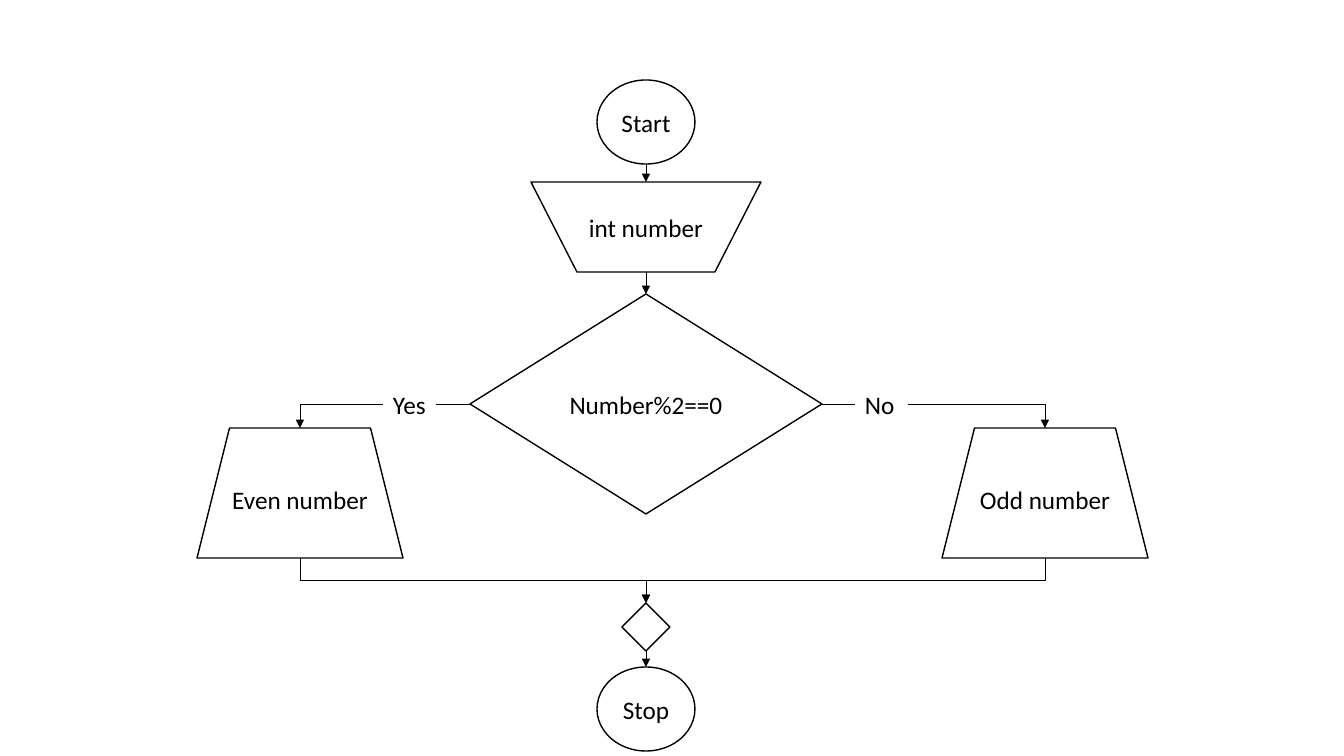
from dataclasses import dataclass

from lxml.etree import SubElement
from pptx import Presentation
from pptx.dml.color import RGBColor
from pptx.enum.shapes import MSO_CONNECTOR, MSO_SHAPE
from pptx.enum.text import MSO_ANCHOR, PP_ALIGN
from pptx.oxml.ns import qn
from pptx.util import Pt


@dataclass(frozen=True)
class Theme:
    ink: RGBColor = RGBColor(0, 0, 0)
    paper: RGBColor = RGBColor(255, 255, 255)
    font: str = "Calibri"
    size: Pt = Pt(18)
    edge: Pt = Pt(1)
    wire: Pt = Pt(0.5)


theme = Theme()
PX = 914400 / 100.8
MID = 646  # centre line of the flow
FORK = 404  # height of the decision branches

deck = Presentation()
deck.slide_width, deck.slide_height = round(1344 * PX), round(756 * PX)
slide = deck.slides.add_slide(deck.slide_layouts[6])


def write(shape, text, align):
    frame = shape.text_frame
    frame.text = text
    para = frame.paragraphs[0]
    para.alignment = align
    look = {"name": theme.font, "size": theme.size}
    for key, value in look.items():
        setattr(para.runs[0].font, key, value)
    para.runs[0].font.color.rgb = theme.ink


def link(kind, ends, arrow=True):
    """Draw a thin connector through ends (x1, y1, x2, y2) in px."""
    wire = slide.shapes.add_connector(kind, *[round(n * PX) for n in ends])
    wire.line.width = theme.wire
    wire.line.color.rgb = theme.ink
    if arrow:
        SubElement(wire.line._get_or_add_ln(), qn("a:tailEnd"), type="triangle")
    SubElement(wire._element.spPr, qn("a:effectLst"))
    return wire


# Steps: centre x, top, width, height
steps = {
    "start": (MSO_SHAPE.FLOWCHART_CONNECTOR, MID, 80, 98, 84, "Start"),
    "input": (MSO_SHAPE.FLOWCHART_MANUAL_OPERATION, MID, 182, 230, 90, "int number"),
    "test": (MSO_SHAPE.DIAMOND, MID, 294, 352, 220, "Number%2==0"),
    "even": (MSO_SHAPE.TRAPEZOID, 300, 428, 206, 130, "Even number"),
    "odd": (MSO_SHAPE.TRAPEZOID, 1045, 428, 206, 130, "Odd number"),
    "merge": (MSO_SHAPE.DIAMOND, MID, 603, 48, 48, ""),
    "stop": (MSO_SHAPE.FLOWCHART_CONNECTOR, MID, 667, 98, 84, "Stop"),
}
nodes = {}
for name, (kind, x, top, wide, high, text) in steps.items():
    box = [round(n * PX) for n in (x - wide / 2, top, wide, high)]
    node = nodes[name] = slide.shapes.add_shape(kind, *box)
    node.shadow.inherit = False
    node.fill.background()
    node.line.width = theme.edge
    node.line.color.rgb = theme.ink
    if text:
        node.text_frame.vertical_anchor = MSO_ANCHOR.MIDDLE
        write(node, text, PP_ALIGN.CENTER)
nodes["input"].fill.solid()
nodes["input"].fill.fore_color.rgb = theme.paper

# Branch labels
for text, left in (("Yes", 383), ("No", 855)):
    box = [round(n * PX) for n in (left, FORK - 20, 53, 40)]
    nodes[text] = slide.shapes.add_textbox(*box)
    nodes[text].text_frame.word_wrap = False
    write(nodes[text], text, PP_ALIGN.LEFT)

# Straight links down the centre and out to the labels
wires = [
    ("start", None, "input", 0, (MID, 164, MID, 182), True),
    ("input", 2, "test", 0, (MID, 272, MID, 294), True),
    ("merge", 2, "stop", 0, (MID, 651, MID, 667), True),
    ("Yes", 3, "test", 1, (436, FORK, 470, FORK), False),
    ("test", 3, "No", 1, (822, FORK, 855, FORK), False),
]
for first, out, last, into, ends, arrow in wires:
    wire = link(MSO_CONNECTOR.STRAIGHT, ends, arrow)
    if out is not None:
        wire.begin_connect(nodes[first], out)
    wire.end_connect(nodes[last], into)

# One-bend links from the labels to the results
for ends in ((383, FORK, 300, 428), (908, FORK, 1045, 428)):
    bend = link(MSO_CONNECTOR.ELBOW, ends)
    bend._element.spPr.find(qn("a:prstGeom")).set("prst", "bentConnector2")

# Two-bend links to the merge: laid out sideways, then turned
for x, side, turn in ((300, 1, 270), (1045, -1, 90)):
    top, end = 558, 603
    cx, cy = (x + MID) / 2, (top + end) / 2
    half, reach = side * (end - top) / 2, abs(MID - x) / 2
    bend = link(MSO_CONNECTOR.ELBOW, (cx + half, cy - reach, cx - half, cy + reach))
    bend._element.spPr.find(qn("a:xfrm")).set("rot", str(turn * 60000))

deck.save("out.pptx")
